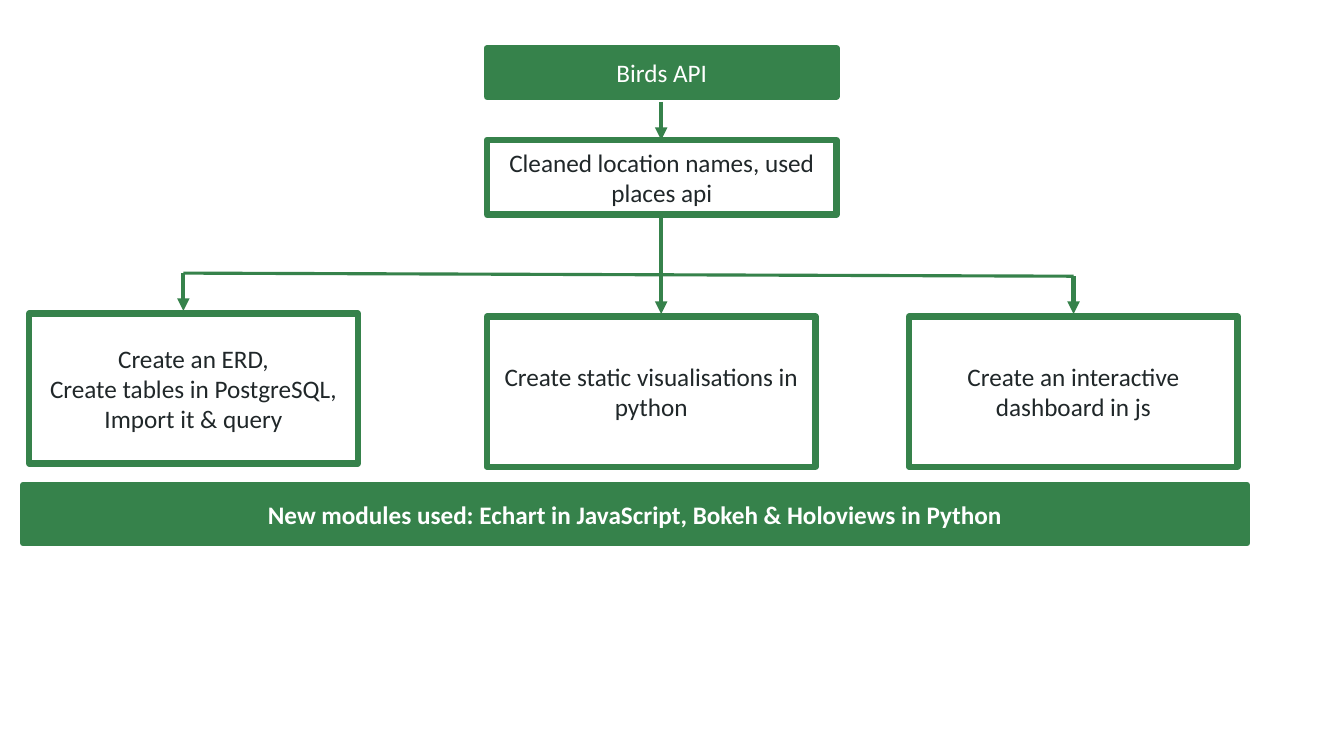
"""Builds a one-slide flow chart of a bird data project."""
from dataclasses import dataclass

from lxml.etree import SubElement
from pptx import Presentation
from pptx.dml.color import RGBColor
from pptx.enum.shapes import MSO_CONNECTOR, MSO_SHAPE
from pptx.enum.text import MSO_ANCHOR, PP_ALIGN
from pptx.oxml.ns import qn
from pptx.util import Pt


@dataclass(frozen=True)
class Theme:
    green: RGBColor = RGBColor(0x36, 0x82, 0x4B)
    ink: RGBColor = RGBColor(0x20, 0x27, 0x29)
    white: RGBColor = RGBColor(0xFF, 0xFF, 0xFF)
    font: str = "Calibri"
    size: float = 18
    border: float = 4.5
    arrow: float = 3
    rail: float = 2.25


def write(tf, text, *, theme, color, bold=False):
    tf.word_wrap = True
    tf.vertical_anchor = MSO_ANCHOR.MIDDLE
    tf.text = text
    for p in tf.paragraphs:
        p.alignment = PP_ALIGN.CENTER
        for r in p.runs:
            r.font.name = theme.font
            r.font.size = Pt(theme.size)
            r.font.bold = bold
            r.font.color.rgb = color


class FlowChart:
    def __init__(self, slide, theme):
        self.slide = slide
        self.theme = theme

    def box(self, left, top, width, height, text, filled=False, bold=False):
        t = self.theme
        sp = self.slide.shapes.add_shape(
            MSO_SHAPE.RECTANGLE, Pt(left), Pt(top), Pt(width), Pt(height))
        sp.shadow.inherit = False
        sp.fill.solid()
        sp.fill.fore_color.rgb = t.green if filled else t.white
        sp.line.color.rgb = t.green
        sp.line.width = Pt(t.border)
        write(sp.text_frame, text, theme=t,
              color=t.white if filled else t.ink, bold=bold)

    def line(self, x1, y1, x2, y2, weight, arrow=False):
        cx = self.slide.shapes.add_connector(
            MSO_CONNECTOR.STRAIGHT, Pt(x1), Pt(y1), Pt(x2), Pt(y2))
        cx.line.color.rgb = self.theme.green
        cx.line.width = Pt(weight)
        if arrow:
            SubElement(cx.line._get_or_add_ln(), qn("a:tailEnd"), type="triangle")
        SubElement(cx._element.spPr, qn("a:effectLst"))


def main():
    prs = Presentation()
    prs.slide_width, prs.slide_height = Pt(960), Pt(540)
    s = prs.slides.add_slide(prs.slide_layouts[6])
    theme = Theme()
    chart = FlowChart(s, theme)

    middle, axis = 347.8, 472.3
    chart.box(middle, 34.5, 249.8, 34.5, "Birds API", filled=True)
    chart.line(axis, 72.7, axis, 100, theme.arrow, arrow=True)
    chart.box(middle, 100, 249.8, 53.3, "Cleaned location names, used places api")

    rise, gap = 28.8, 1.8
    branches = [
        (20.9, 223.9, 131,
         "Create an ERD,\nCreate tables in PostgreSQL,\nImport it & query"),
        (middle, 226.1, axis, "Create static visualisations in python"),
        (649.4, 226.1, 766.8, "Create an interactive dashboard in js"),
    ]
    for left, top, x, text in branches:
        chart.box(left, top, 234.7, 107.3, text)
        chart.line(x, top - rise, x, top - gap, theme.arrow, arrow=True)

    (_, top1, x1, _), (_, top2, x2, _) = branches[0], branches[-1]
    chart.line(x1, top1 - rise, x2, top2 - rise, theme.rail)
    chart.line(axis, 153.3, axis, top2 - rise, theme.arrow)

    chart.box(16.6, 346.3, 874.1, 41.8,
              "New modules used: Echart in JavaScript, Bokeh & Holoviews in Python",
              filled=True, bold=True)
    prs.save("out.pptx")


if __name__ == "__main__":
    main()
